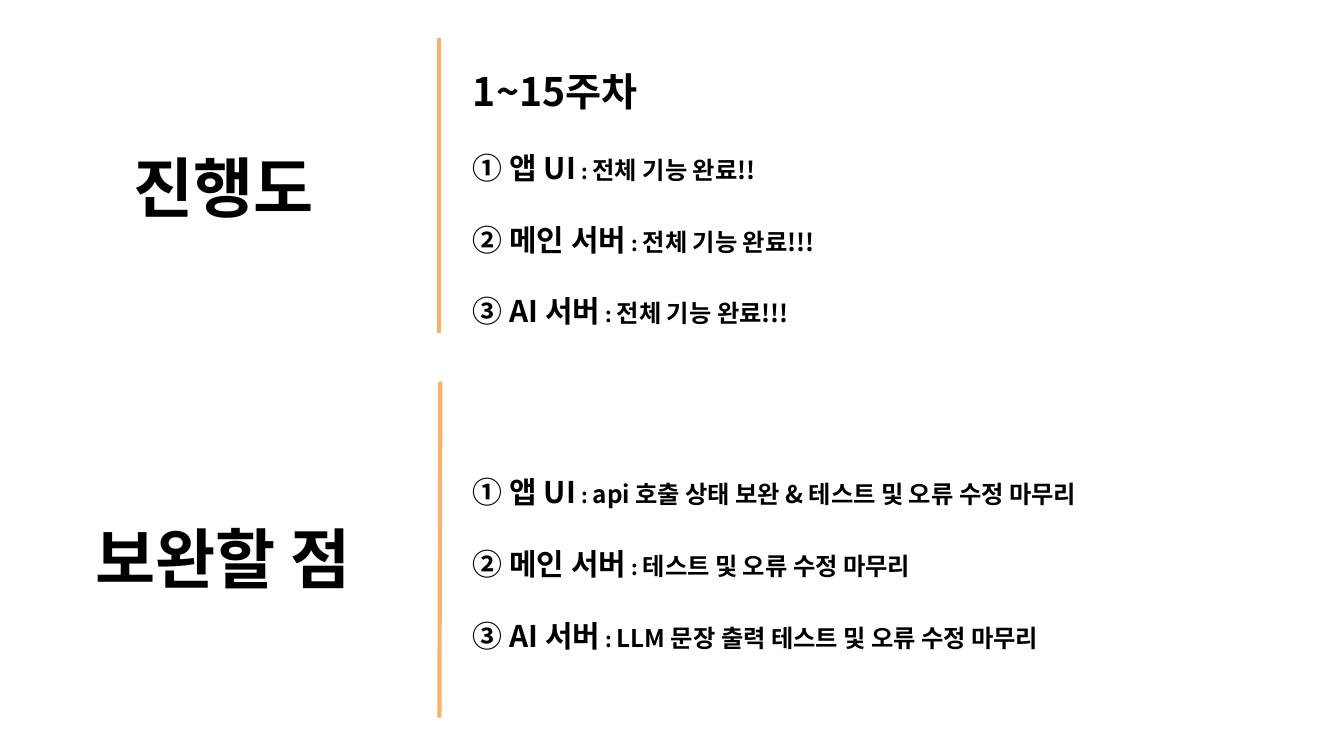
import pptx
import pptx.util
import pptx.dml.color
import pptx.enum.shapes
import pptx.enum.text
import pptx.oxml.ns
import pptx.oxml.xmlchemy

Pt = pptx.util.Pt
RGB = pptx.dml.color.RGBColor.from_string
ALIGN = pptx.enum.text.PP_ALIGN
Element = pptx.oxml.xmlchemy.OxmlElement
qn = pptx.oxml.ns.qn

THEME = {
    "font": "Noto Sans CJK KR",
    "text": "000000",
    "rule": "F6B26B",
    "rule_width": 2.25,
    "heading": 35,
    "period": 21,
    "label": 16,
    "colon": 11,
    "detail": 13,
}


def set_box(sp, left, top, width, height):
    for name, value in {"left": left, "top": top, "width": width, "height": height}.items():
        setattr(sp, name, Pt(value))
    tf = sp.text_frame
    fmt = {
        "word_wrap": True,
        "auto_size": pptx.enum.text.MSO_AUTO_SIZE.NONE,
        "vertical_anchor": pptx.enum.text.MSO_ANCHOR.MIDDLE,
    }
    fmt.update({f"margin_{side}": Pt(7.2) for side in ("left", "right", "top", "bottom")})
    for name, value in fmt.items():
        setattr(tf, name, value)
    return tf


def write_paragraph(p, runs, spacing, align):
    pPr = p._p.get_or_add_pPr()
    pPr.set("marL", "0")
    pPr.set("indent", "0")
    pPr.append(Element("a:buNone"))
    for name, value in {"alignment": align, "line_spacing": spacing, "space_before": Pt(0)}.items():
        setattr(p, name, value)
    for text, role in runs:
        r = p.add_run()
        r.text = text
        for name, value in {"size": Pt(THEME[role]), "bold": True, "name": THEME["font"]}.items():
            setattr(r.font, name, value)
        r.font.color.rgb = RGB(THEME["text"])
        ea = Element("a:ea")
        ea.set("typeface", THEME["font"])
        r._r.get_or_add_rPr().append(ea)


prs = pptx.Presentation()
prs.slide_width, prs.slide_height = Pt(720), Pt(405)
s = prs.slides.add_slide(prs.slide_layouts[3])

headings = [
    (s.shapes.title, "진행도", (18.7, 77, 202.3, 45.4)),
    (s.shapes.add_textbox(0, 0, 0, 0), "보완할 점", (21.6, 270, 195.8, 56.9)),
]
for sp, text, box in headings:
    tf = set_box(sp, *box)
    write_paragraph(tf.paragraphs[0], [(text, "heading")], 1.0, ALIGN.CENTER)

labels = ["① 앱 UI", "② 메인 서버", "③ AI 서버"]
lists = [
    (1, (246.2, 25.2, 443.5, 149), "1~15주차",
     ["전체 기능 완료!!", "전체 기능 완료!!!", "전체 기능 완료!!!"]),
    (2, (246.2, 200.2, 463, 184.3), None,
     ["api 호출 상태 보완 & 테스트 및 오류 수정 마무리",
      "테스트 및 오류 수정 마무리",
      "LLM 문장 출력 테스트 및 오류 수정 마무리"]),
]
for idx, box, period, details in lists:
    tf = set_box(s.placeholders[idx], *box)
    rows = [([(period, "period")], 1.5)] if period else []
    for label, detail in zip(labels, details):
        rows.append(([(label, "label"), (" ", "detail"), (": ", "colon"), (detail, "detail")], 2.0))
    for i, (runs, spacing) in enumerate(rows):
        p = tf.add_paragraph() if i else tf.paragraphs[0]
        write_paragraph(p, runs, spacing, ALIGN.LEFT)

for x1, y1, x2, y2 in [(235.4, 20.6, 235.4, 178.6), (235.9, 204.5, 235.4, 384.5)]:
    rule = s.shapes.add_connector(
        pptx.enum.shapes.MSO_CONNECTOR.STRAIGHT, Pt(x1), Pt(y1), Pt(x2), Pt(y2))
    rule.line.color.rgb = RGB(THEME["rule"])
    rule.line.width = Pt(THEME["rule_width"])
    rule._element.find(qn("p:spPr")).append(Element("a:effectLst"))

prs.save("out.pptx")
